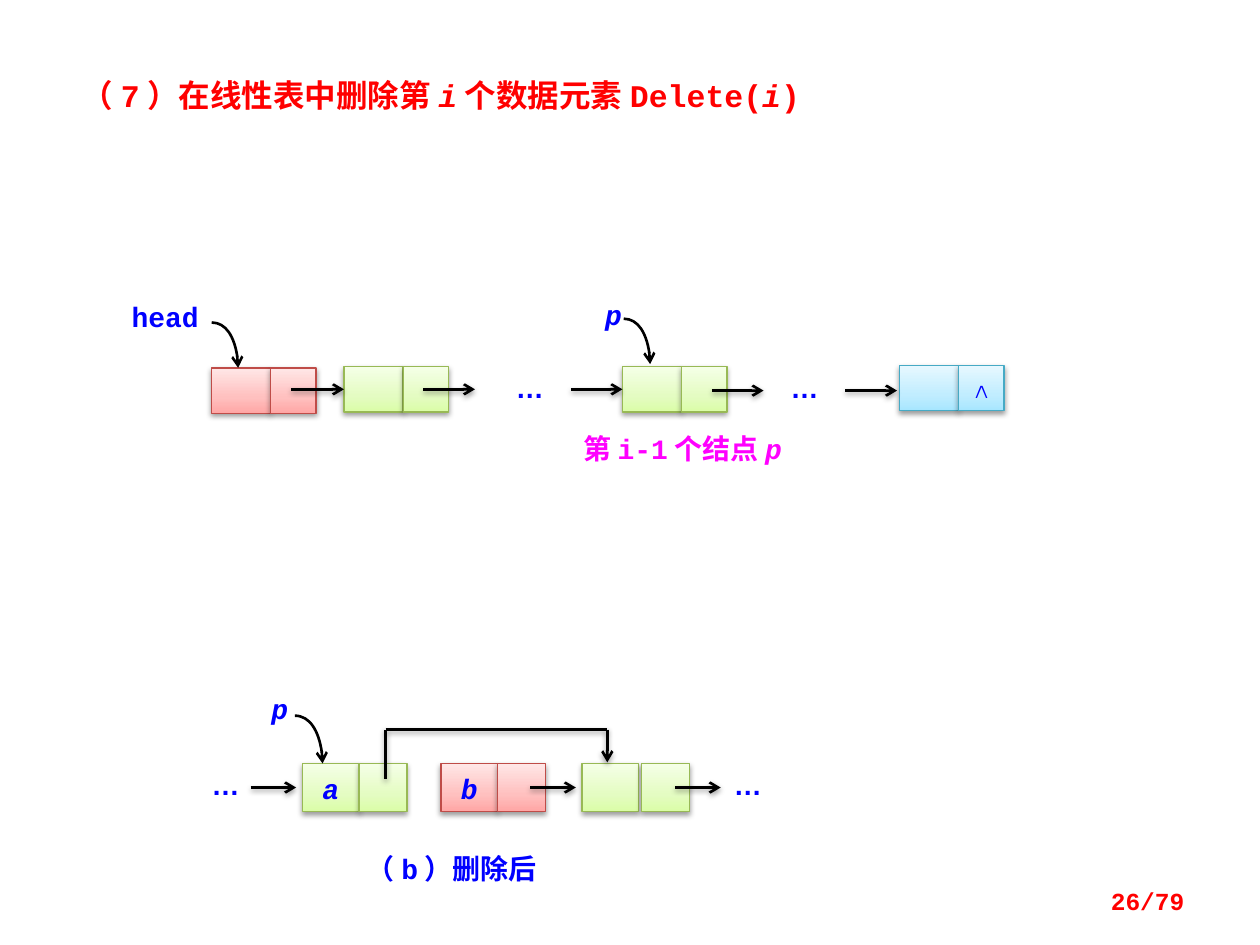
from lxml import etree
from pptx import Presentation
from pptx.dml.color import RGBColor
from pptx.enum import shapes, text
from pptx.oxml import ns
from pptx.util import Inches, Pt

MONO, SANS = "Courier New", "Arial"
RED, BLUE, PINK, BLACK, WHITE = "FF0000", "0000FF", "FF00FF", "000000", "FFFFFF"

# Gradient stops at 0, 35 and 100 percent, then the outline
PALETTES = {
    "red": (("FFA6A5", "FFC0BF", "FFE7E7"), "BF4C48"),
    "green": (("DAFDA7", "E4FCC2", "F5FFE7"), "98B955"),
    "blue": (("A7E6FF", "C1EDFF", "E7F8FF"), "46AAC5"),
}
STOPS = (0, 35, 100)

# Runs are (text, italic)
TITLE = [("（7）在线性表中删除第", False), ("i", True),
         ("个数据元素Delete(", False), ("i", True), (")", False)]
NODE_CAPTION = [("第i-1个结点", False), ("p", True)]
PAGE = [("26/79", False)]

# Cell sizes of a row: data width, link width, height, line spacing
BEFORE_ROW = (0.47, 0.36, 0.36, 22)
AFTER_ROW = (0.45, 0.38, 0.38, 24)

# name: row, left, top, palette, gap, data text, link text
NODES = {
    "head": (BEFORE_ROW, 1.68, 2.92, "red", 0, None, None),
    "first": (BEFORE_ROW, 2.73, 2.91, "green", 0, None, None),
    "previous": (BEFORE_ROW, 4.94, 2.91, "green", 0, None, None),
    "last": (BEFORE_ROW, 7.14, 2.9, "blue", 0, None, ("∧", False)),
    "a": (AFTER_ROW, 2.4, 6.06, "green", 0, ("a", True), None),
    "b": (AFTER_ROW, 3.5, 6.06, "red", 0, ("b", True), None),
    "next": (AFTER_ROW, 4.62, 6.06, "green", 0.02, None, None),
}

# text, italic, font, box
LABELS = [
    ("head", False, MONO, (0.94, 2.38, 0.74, 0.29)),
    ("…", False, SANS, (3.99, 2.94, 0.43, 0.29)),
    ("…", False, SANS, (6.17, 2.94, 0.43, 0.29)),
    ("p", True, MONO, (4.76, 2.36, 0.22, 0.29)),
    ("…", False, SANS, (1.64, 6.09, 0.3, 0.32)),
    ("p", True, MONO, (2.1, 5.49, 0.24, 0.31)),
    ("…", False, SANS, (5.76, 6.09, 0.35, 0.37)),
    ("（b）删除后", False, MONO, (2.85, 6.76, 1.47, 0.38)),
]

# start x, y, length, node whose left side is reached
LINKS = [
    (2.31, 3.09, 0.42, "first"), (3.36, 3.09, 0.41, None),
    (4.53, 3.09, 0.41, "previous"), (5.65, 3.1, 0.41, None),
    (6.71, 3.1, 0.41, None), (1.99, 6.25, 0.36, None),
    (4.21, 6.25, 0.36, None), (5.36, 6.25, 0.36, None),
]
BYPASS = [(3.06, 6.18), (3.06, 5.79), (4.82, 5.79), (4.82, 6.05)]
POINTERS = [(1.68, 2.56, 0.21, 0.36), (4.95, 2.53, 0.21, 0.36),
            (2.34, 5.68, 0.22, 0.38)]


def rgb(value):
    return RGBColor.from_string(value)


def add(parent, tag, **attrs):
    return etree.SubElement(parent, ns.qn(tag), {k: str(v) for k, v in attrs.items()})


def add_shadow(effects):
    shadow = add(effects, "a:outerShdw", blurRad=Pt(3.1), dist=Pt(1.6),
                 dir=5400000, rotWithShape=0)
    add(add(shadow, "a:srgbClr", val=BLACK), "a:alpha", val=38000)


def write(sp, runs, color, font=MONO, size=16, align="LEFT", anchor="TOP",
          margins=None, spacing=None):
    tf = sp.text_frame
    tf.word_wrap = True
    tf.auto_size = text.MSO_AUTO_SIZE.NONE
    tf.vertical_anchor = getattr(text.MSO_ANCHOR, anchor)
    if margins is not None:
        for side in ("left", "top", "right", "bottom"):
            setattr(tf, f"margin_{side}", Inches(margins))
    p = tf.paragraphs[0]
    p.alignment = getattr(text.PP_ALIGN, align)
    p.space_before = Pt(0)
    if spacing:
        p.line_spacing = Pt(spacing)
    for words, italic in runs:
        r = p.add_run()
        r.text = words
        look = {"name": font, "size": Pt(size), "bold": True, "italic": italic}
        for key, value in look.items():
            setattr(r.font, key, value)
        r.font.color.rgb = rgb(color)


def add_rect(s, box):
    sp = s.shapes.add_shape(shapes.MSO_SHAPE.RECTANGLE, *map(Inches, box))
    sp.shadow.inherit = False
    return sp


def add_cell(s, box, palette, label, spacing):
    sp = add_rect(s, box)
    colors, outline = PALETTES[palette]
    sp.fill.gradient()
    sp.fill.gradient_angle = 90
    stops = sp._element.spPr.find(".//" + ns.qn("a:gsLst"))
    for stop in list(stops):
        stops.remove(stop)
    for position, color in zip(STOPS, colors):
        add(add(stops, "a:gs", pos=position * 1000), "a:srgbClr", val=color)
    sp.line.color.rgb = rgb(outline)
    sp.line.width = Pt(0.75)
    add_shadow(sp._element.spPr.find(ns.qn("a:effectLst")))
    if label:
        write(sp, [label], BLUE, align="CENTER", margins=0, spacing=spacing)
    return sp


def add_node(s, row, left, top, palette, gap, data, link):
    """Draw a data cell and a link cell; return the data cell."""
    data_w, link_w, height, spacing = row
    cell = add_cell(s, (left, top, data_w, height), palette, data, spacing)
    add_cell(s, (left + data_w + gap, top, link_w, height), palette, link, spacing)
    return cell


def add_label(s, words, italic, font, box):
    sp = add_rect(s, box)
    sp.fill.solid()
    sp.fill.fore_color.rgb = rgb(WHITE)
    sp.line.fill.background()
    write(sp, [(words, italic)], BLUE, font, align="CENTER", margins=0)


def style_line(sp, arrow):
    sp.line.color.rgb = rgb(BLACK)
    sp.line.width = Pt(1.5)
    if arrow:
        add(sp.line._get_or_add_ln(), "a:tailEnd", type="arrow")


def add_line(s, start, end, arrow=True, target=None):
    sp = s.shapes.add_connector(shapes.MSO_CONNECTOR.STRAIGHT, *map(Inches, start + end))
    if target is not None:
        sp.end_connect(target, 1)
    style_line(sp, arrow)
    add_shadow(add(sp._element.spPr, "a:effectLst"))


def add_pointer(s, x, y, w, h):
    """Draw an arrow that leaves to the right and bends down."""
    builder = s.shapes.build_freeform(Inches(x), Inches(y))
    builder.add_line_segments(
        [(Inches(x + w * fx), Inches(y + h * fy))
         for fx, fy in ((0.55, 0), (1, 0.45), (1, 1))], close=False)
    sp = builder.convert_to_shape()
    path = sp._element.spPr.find(".//" + ns.qn("a:path"))
    segments = path.findall(ns.qn("a:lnTo"))
    curve = add(path, "a:cubicBezTo")
    for segment in segments:
        curve.append(segment[0])
        path.remove(segment)
    sp.shadow.inherit = False
    sp.fill.background()
    style_line(sp, True)


def main():
    prs = Presentation()
    prs.slide_width, prs.slide_height = Inches(10), Inches(7.5)
    s = prs.slides.add_slide(prs.slide_layouts[5])
    title = s.shapes.title
    title.left, title.top, title.width, title.height = map(Inches, (0.55, 0.55, 6.33, 0.4))
    write(title, TITLE, RED, size=18)

    for label in LABELS:
        add_label(s, *label)
    cells = {name: add_node(s, *node) for name, node in NODES.items()}
    for x, y, length, target in LINKS:
        add_line(s, (x, y), (x + length, y), target=cells.get(target))
    for i, (start, end) in enumerate(zip(BYPASS, BYPASS[1:])):
        add_line(s, start, end, arrow=i == len(BYPASS) - 2)
    for pointer in POINTERS:
        add_pointer(s, *pointer)

    caption = s.shapes.add_textbox(*map(Inches, (4.53, 3.38, 1.8, 0.37)))
    write(caption, NODE_CAPTION, PINK)
    page = s.shapes.add_textbox(*map(Inches, (7.17, 6.95, 2.33, 0.4)))
    write(page, PAGE, RED, size=14, align="RIGHT", anchor="MIDDLE")
    prs.save("out.pptx")


if __name__ == "__main__":
    main()
